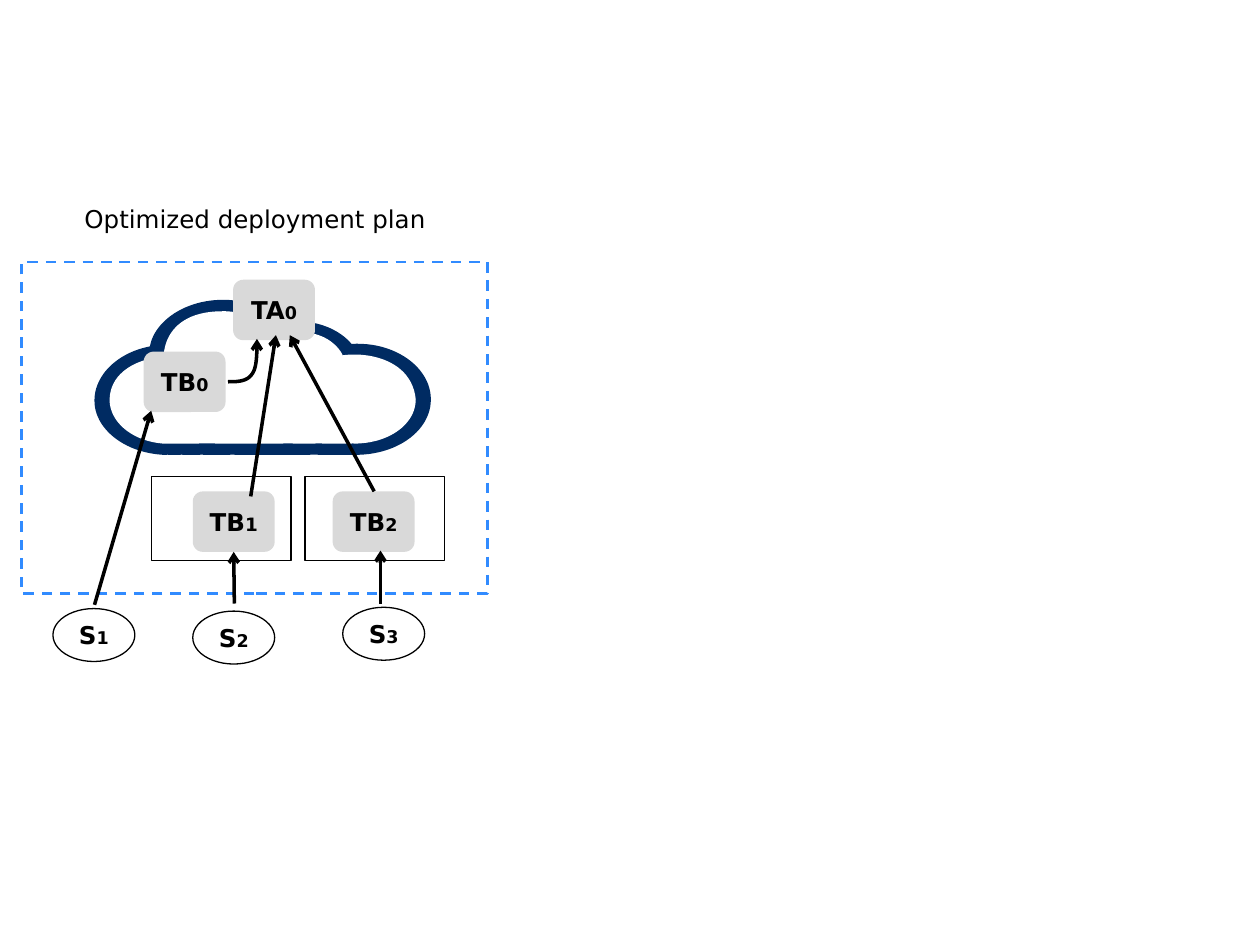
import pptx
import pptx.util
import pptx.dml.color
import pptx.enum.dml
import pptx.enum.shapes
import pptx.enum.text
import pptx.oxml
import pptx.oxml.ns

Inches = pptx.util.Inches
Shape = pptx.enum.shapes.MSO_SHAPE
Align = pptx.enum.text.PP_ALIGN
Anchor = pptx.enum.text.MSO_ANCHOR


def color(value):
    return pptx.dml.color.RGBColor.from_string(value)


def write(box, spans, align=Align.CENTER, anchor=Anchor.MIDDLE, inset=0, bold=True,
          font="DejaVu Sans", fill="000000"):
    """Fill a box with one paragraph of (text, size) spans."""
    frame = box.text_frame
    frame.word_wrap = False
    frame.auto_size = pptx.enum.text.MSO_AUTO_SIZE.NONE
    frame.vertical_anchor = anchor
    frame.margin_left = frame.margin_right = Inches(inset)
    frame.margin_top = frame.margin_bottom = Inches(inset / 2)
    para = frame.paragraphs[0]
    para.alignment = align
    for text, size in spans:
        span = para.add_run()
        span.text = text
        span.font.name = font
        span.font.size = pptx.util.Pt(size)
        span.font.bold = bold
        span.font.color.rgb = color(fill)


def bezier_points(start, curves, steps=24):
    """Sample a chain of cubic curves, each given as two controls and an end."""
    points = [start]
    for first, second, end in curves:
        begin = points[-1]
        for step in range(1, steps + 1):
            t = step / steps
            weights = ((1 - t) ** 3, 3 * t * (1 - t) ** 2, 3 * t * t * (1 - t), t ** 3)
            corners = (begin, first, second, end)
            points.append(tuple(sum(w * c[axis] for w, c in zip(weights, corners))
                                for axis in (0, 1)))
    return points


class Diagram:
    black, white, gray, navy, blue = "000000", "FFFFFF", "D9D9D9", "002B62", "318BFF"
    arrow_weight = 2

    def __init__(self, page):
        self.page = page

    def paint(self, shape, fill=None, line=None, weight=0.75):
        shape.shadow.inherit = False
        if fill:
            shape.fill.solid()
            shape.fill.fore_color.rgb = color(fill)
        else:
            shape.fill.background()
        if line:
            shape.line.color.rgb = color(line)
            shape.line.width = pptx.util.Pt(weight)
        else:
            shape.line.fill.background()
        return shape

    def title(self, text, left, top, width, height):
        box = self.page.shapes.title
        box.left, box.top, box.width, box.height = map(Inches, (left, top, width, height))
        write(box, [(text, 14)], align=Align.LEFT, anchor=Anchor.TOP, inset=0.1, bold=False)

    def shape(self, kind, left, top, width, height, **style):
        shape = self.page.shapes.add_shape(kind, *map(Inches, (left, top, width, height)))
        return self.paint(shape, **style)

    def task(self, name, number, left, top, number_size=10):
        box = self.shape(Shape.ROUNDED_RECTANGLE, left, top, 0.65, 0.48, fill=self.gray)
        write(box, [(name, 14), (number, number_size)])
        return box

    def source(self, number, left, top):
        box = self.shape(Shape.OVAL, left, top, 0.65, 0.42, line=self.black)
        write(box, [("S", 14), (number, 10)])

    def curve(self, start, curves, close=True, **style):
        points = [tuple(map(Inches, point)) for point in bezier_points(start, curves)]
        builder = self.page.shapes.build_freeform(*points[0])
        builder.add_line_segments(points[1:], close=close)
        return self.paint(builder.convert_to_shape(), **style)

    def add_head(self, line):
        tail = pptx.oxml.parse_xml('<a:tailEnd %s type="arrow"/>' % pptx.oxml.ns.nsdecls("a"))
        line.line._get_or_add_ln().append(tail)

    def arrow(self, start, end, target=None, site=2):
        line = self.page.shapes.add_connector(
            pptx.enum.shapes.MSO_CONNECTOR.STRAIGHT, *map(Inches, start + end))
        line.line.color.rgb = color(self.black)
        line.line.width = pptx.util.Pt(self.arrow_weight)
        self.add_head(line)
        effects = pptx.oxml.parse_xml("<a:effectLst %s/>" % pptx.oxml.ns.nsdecls("a"))
        line._element.spPr.append(effects)
        if target is not None:
            line.end_connect(target, site)


def main():
    deck = pptx.Presentation()
    deck.slide_width, deck.slide_height = Inches(10), Inches(7.5)
    page = deck.slides.add_slide(deck.slide_layouts[5])
    diagram = Diagram(page)
    diagram.title("Optimized deployment plan", 0.57, 1.57, 2.91, 0.34)

    # Deployment area
    area = diagram.shape(Shape.RECTANGLE, 0.17, 2.08, 3.7, 2.63,
                         fill=diagram.white, line=diagram.blue, weight=1.5)
    area.line.dash_style = pptx.enum.dml.MSO_LINE.DASH

    # Cloud: navy outline with a white inside
    diagram.curve((2.85, 3.61), [
        ((1.29, 3.61), (1.29, 3.61), (1.29, 3.61)),
        ((0.98, 3.59), (0.75, 3.4), (0.75, 3.18)),
        ((0.75, 2.98), (0.93, 2.8), (1.19, 2.75)),
        ((1.23, 2.54), (1.48, 2.38), (1.77, 2.38)),
        ((1.96, 2.38), (2.14, 2.45), (2.25, 2.56)),
        ((2.5, 2.52), (2.7, 2.62), (2.79, 2.73)),
        ((3.14, 2.71), (3.42, 2.92), (3.42, 3.17)),
        ((3.42, 3.41), (3.17, 3.6), (2.85, 3.61)),
    ], fill=diagram.navy)
    diagram.curve((1.3, 2.83), [
        ((1.24, 2.83), (0.88, 2.88), (0.87, 3.17)),
        ((0.87, 3.35), (1.05, 3.5), (1.29, 3.52)),
        ((2.84, 3.52), (2.84, 3.52), (2.84, 3.52)),
        ((3.1, 3.51), (3.3, 3.36), (3.3, 3.17)),
        ((3.27, 2.86), (2.93, 2.79), (2.72, 2.82)),
        ((2.71, 2.79), (2.58, 2.56), (2.19, 2.66)),
        ((2.09, 2.53), (1.93, 2.47), (1.77, 2.47)),
        ((1.35, 2.47), (1.3, 2.74), (1.3, 2.83)),
    ], fill=diagram.white)

    # Edge nodes
    for left in (1.2, 2.42):
        diagram.shape(Shape.RECTANGLE, left, 3.78, 1.11, 0.67,
                      fill=diagram.white, line=diagram.black)

    # Tasks in the cloud and on the edge nodes
    diagram.task("TA", "0", 1.85, 2.22)
    diagram.task("TB", "0", 1.14, 2.79)
    first_edge_task = diagram.task("TB", "1", 1.53, 3.9, number_size=10.5)
    diagram.task("TB", "2", 2.64, 3.9)

    # Sources
    for number, left, top in (("1", 0.42, 4.83), ("2", 1.53, 4.85), ("3", 2.72, 4.82)):
        diagram.source(number, left, top)

    # Data flows
    diagram.arrow((1.86, 4.79), (1.86, 4.38), target=first_edge_task)
    for start, end in (((3.02, 4.79), (3.02, 4.37)), ((0.75, 4.8), (1.2, 3.26)),
                       ((1.99, 3.94), (2.19, 2.66)), ((2.97, 3.9), (2.3, 2.66))):
        diagram.arrow(start, end)
    bend = diagram.curve((1.81, 3.03), [
        ((1.88, 3.03), (1.96, 3.03), (2, 2.97)),
        ((2.04, 2.92), (2.04, 2.81), (2.04, 2.69)),
    ], close=False, line=diagram.black, weight=diagram.arrow_weight)
    diagram.add_head(bend)

    deck.save("out.pptx")


if __name__ == "__main__":
    main()
